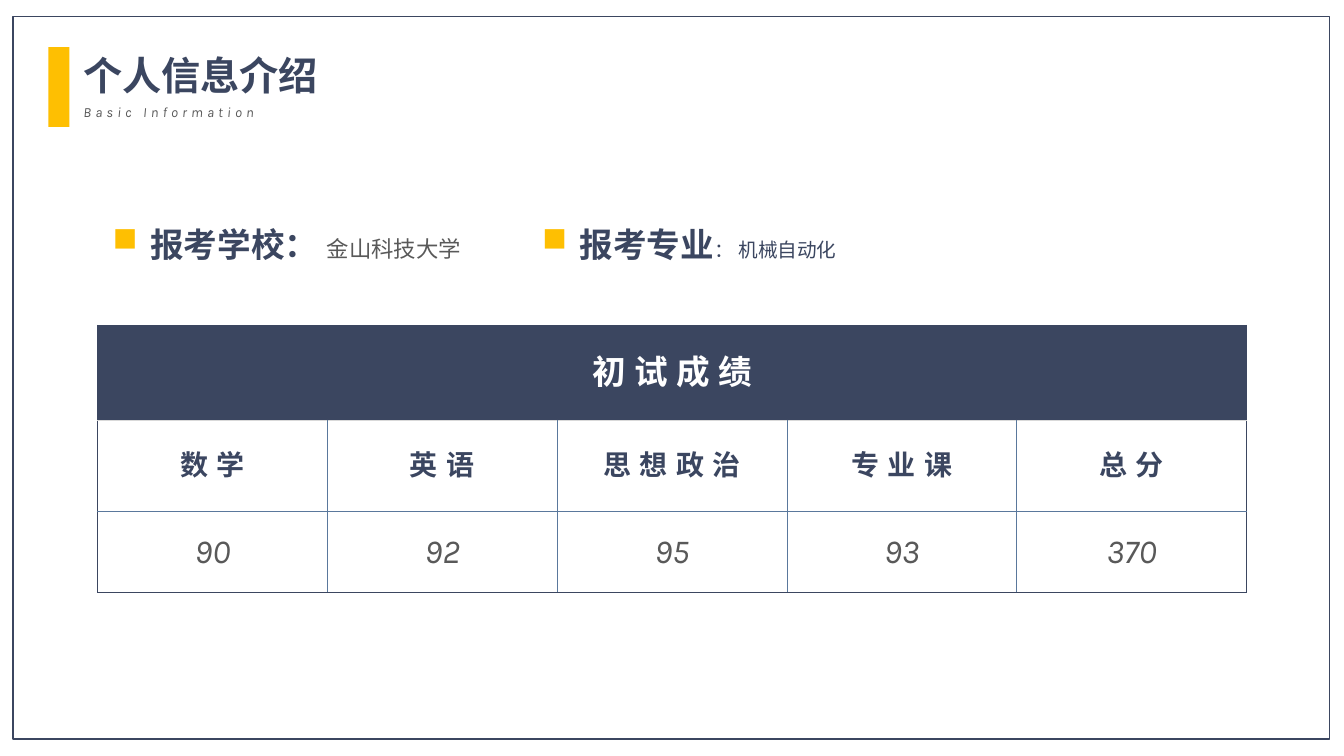
from dataclasses import dataclass

from lxml.etree import SubElement
from pptx import Presentation
from pptx.dml.color import RGBColor
from pptx.enum.lang import MSO_LANGUAGE_ID
from pptx.enum.shapes import MSO_SHAPE
from pptx.enum.text import MSO_ANCHOR, MSO_AUTO_SIZE, PP_ALIGN
from pptx.oxml import parse_xml
from pptx.oxml.ns import nsdecls, qn
from pptx.util import Cm, Pt


@dataclass(frozen=True)
class Theme:
    navy: str = "3B4660"
    gold: str = "FEBF02"
    grey: str = "595959"
    white: str = "FFFFFF"
    grid: str = "5A789C"
    divider: str = "D9D9D9"
    font: str = "Karla"
    title: int = 28
    heading: int = 24
    subject: int = 20
    school: int = 16
    major: int = 14
    caption: int = 10


@dataclass(frozen=True)
class Box:
    left: float
    top: float
    width: float
    height: float

    def lengths(self) -> tuple:
        return Cm(self.left), Cm(self.top), Cm(self.width), Cm(self.height)


@dataclass(frozen=True)
class Choice:
    box: Box
    label: str
    answer: str
    size: int
    color: str


@dataclass(frozen=True)
class Edge:
    color: str
    width: float


@dataclass(frozen=True)
class ScoreRow:
    height: float
    texts: tuple
    fill: str
    style: dict


THEME = Theme()
OUTER = Edge(THEME.navy, 1)
INNER = Edge(THEME.grid, 0.25)
DIVIDER = Edge(THEME.divider, 1)

CHOICES = (
    Choice(Box(2.59, 5, 9.4, 1.6), "报考学校： ", "金山科技大学", THEME.school, THEME.grey),
    Choice(Box(13.41, 5, 8.03, 1.63), "报考专业", "： 机械自动化", THEME.major, THEME.navy),
)
SCORES = (
    ScoreRow(2.39, ("初试成绩", "", "", "", ""), THEME.navy,
             dict(size=THEME.heading, color=THEME.white, bold=True, spacing=6)),
    ScoreRow(2.29, ("数学", "英语", "思想政治", "专业课", "总分"), THEME.white,
             dict(size=THEME.subject, color=THEME.navy, bold=True, spacing=6)),
    ScoreRow(2.06, ("90", "92", "95", "93", "370"), THEME.white,
             dict(size=THEME.heading, color=THEME.grey, italic=True)),
)
SCORE_BOX = Box(2.46, 8.2, 28.95, sum(row.height for row in SCORES))


def add_text(paragraph, text: str, *, size: int, color: str, bold: bool = False,
             italic: bool = False, spacing: float = 0) -> None:
    run = paragraph.add_run()
    run.text = text
    font = run.font
    font.name, font.size, font.bold, font.italic = THEME.font, Pt(size), bold, italic
    font.color.rgb = RGBColor.from_string(color)
    font.language_id = MSO_LANGUAGE_ID.SIMPLIFIED_CHINESE
    properties = run._r.get_or_add_rPr()
    SubElement(properties, qn("a:ea")).set("typeface", THEME.font)
    if spacing:
        properties.set("spc", str(int(spacing * 100)))


def add_paragraph_box(slide, box: Box):
    """Add a growing, unwrapped text box and return its first paragraph."""
    frame = slide.shapes.add_textbox(*box.lengths()).text_frame
    frame.word_wrap = False
    frame.auto_size = MSO_AUTO_SIZE.SHAPE_TO_FIT_TEXT
    return frame.paragraphs[0]


def add_rectangle(slide, box: Box, *, fill: str = "", line: str = "") -> None:
    rectangle = slide.shapes.add_shape(MSO_SHAPE.RECTANGLE, *box.lengths())
    rectangle.shadow.inherit = False
    if fill:
        rectangle.fill.solid()
        rectangle.fill.fore_color.rgb = RGBColor.from_string(fill)
    else:
        rectangle.fill.background()
    if line:
        rectangle.line.color.rgb = RGBColor.from_string(line)
        rectangle.line.width = Pt(1)
    else:
        rectangle.line.fill.background()


def add_choice(slide, choice: Choice) -> None:
    paragraph = add_paragraph_box(slide, choice.box)
    paragraph.alignment = PP_ALIGN.JUSTIFY
    paragraph.line_spacing = 1.5
    properties = paragraph._p.get_or_add_pPr()
    indent = Cm(0.95)
    properties.set("marL", str(indent))
    properties.set("indent", str(-indent))
    bullet_color = SubElement(properties, qn("a:buClr"))
    SubElement(bullet_color, qn("a:srgbClr")).set("val", THEME.gold)
    SubElement(properties, qn("a:buFont")).set("typeface", "Wingdings")
    SubElement(properties, qn("a:buChar")).set("char", "n")
    add_text(paragraph, choice.label, size=THEME.heading, color=THEME.navy, bold=True)
    add_text(paragraph, choice.answer, size=choice.size, color=choice.color)


def set_borders(cell, edges: dict[str, Edge]) -> None:
    properties = cell._tc.get_or_add_tcPr()
    for index, (side, edge) in enumerate(edges.items()):
        properties.insert(index, parse_xml(
            f'<a:ln{side} {nsdecls("a")} w="{Pt(edge.width)}"><a:solidFill>'
            f'<a:srgbClr val="{edge.color}"/></a:solidFill></a:ln{side}>'))


def cell_edges(row: int, column: int) -> dict[str, Edge]:
    """Outer edges are navy, inner ones thin, with a pale line under the header."""
    last_row, last_column = len(SCORES) - 1, len(SCORES[0].texts) - 1
    return {
        "L": OUTER if column == 0 else INNER,
        "R": OUTER if column == last_column or row == 0 else INNER,
        "T": OUTER if row == 0 else DIVIDER if row == 1 else INNER,
        "B": DIVIDER if row == 0 else OUTER if row == last_row else INNER,
    }


def add_scores(slide) -> None:
    columns = len(SCORES[0].texts)
    table = slide.shapes.add_table(len(SCORES), columns, *SCORE_BOX.lengths()).table
    table.first_row = table.horz_banding = False
    for column in table.columns:
        column.width = Cm(SCORE_BOX.width / columns)
    for row_index, row in enumerate(SCORES):
        table.rows[row_index].height = Cm(row.height)
        for column_index, text in enumerate(row.texts):
            cell = table.cell(row_index, column_index)
            cell.fill.solid()
            cell.fill.fore_color.rgb = RGBColor.from_string(row.fill)
            cell.vertical_anchor = MSO_ANCHOR.MIDDLE
            cell.margin_left = cell.margin_right = Cm(0.18)
            cell.margin_top, cell.margin_bottom = Cm(0.02), 0
            set_borders(cell, cell_edges(row_index, column_index))
            if text:
                paragraph = cell.text_frame.paragraphs[0]
                paragraph.alignment = PP_ALIGN.CENTER
                add_text(paragraph, text, **row.style)
    table.cell(0, 0).merge(table.cell(0, columns - 1))


def main() -> None:
    presentation = Presentation()
    presentation.slide_width, presentation.slide_height = Cm(33.87), Cm(19.05)
    slide = presentation.slides.add_slide(presentation.slide_layouts[6])
    add_rectangle(slide, Box(0.33, 0.41, 33.17, 18.21), line=THEME.navy)
    add_scores(slide)
    for choice in CHOICES:
        add_choice(slide, choice)
    add_text(add_paragraph_box(slide, Box(1.85, 1.17, 6.5, 1.45)), "个人信息介绍",
             size=THEME.title, color=THEME.navy, bold=True)
    add_text(add_paragraph_box(slide, Box(1.85, 2.49, 5.03, 0.69)), "Basic Information",
             size=THEME.caption, color=THEME.grey, italic=True, spacing=3)
    add_rectangle(slide, Box(1.22, 1.19, 0.53, 2.01), fill=THEME.gold)
    presentation.save("out.pptx")


if __name__ == "__main__":
    main()
